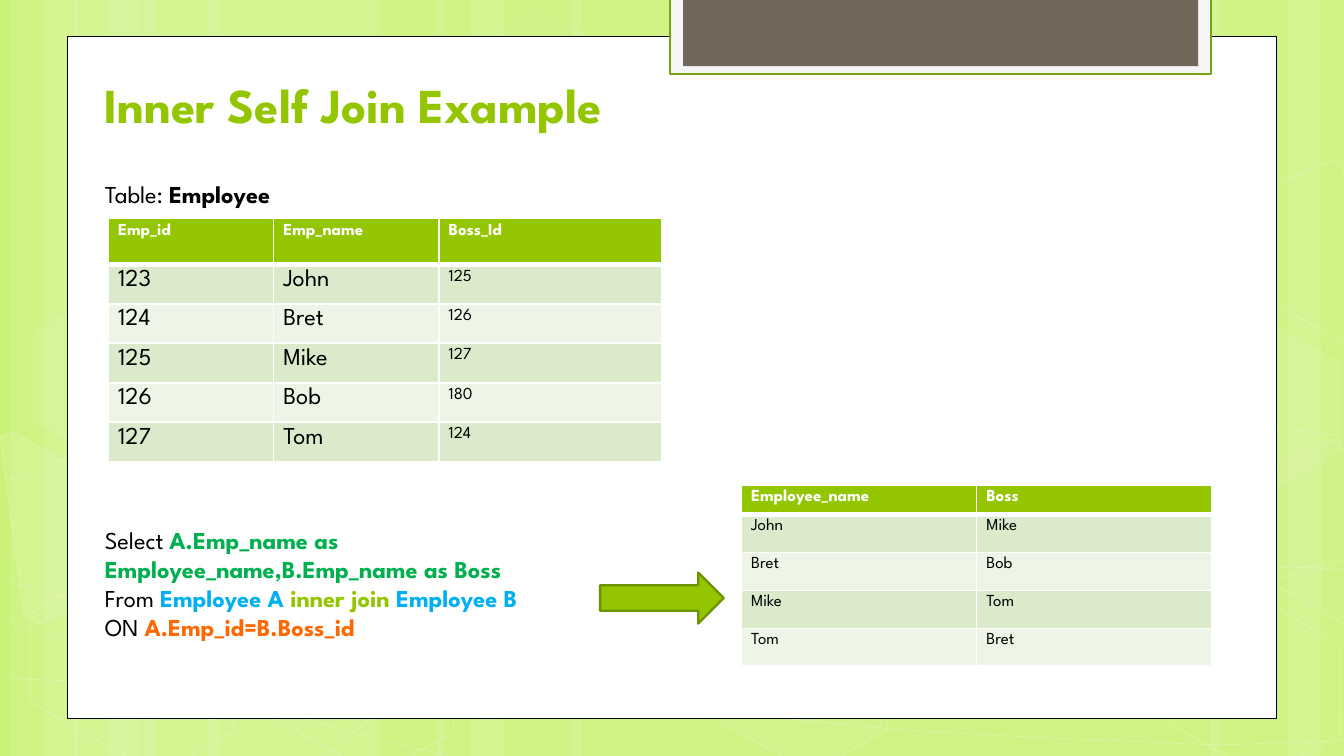
import math

from lxml import etree
from pptx import Presentation
from pptx import util as u
from pptx.dml.color import RGBColor
from pptx.enum import shapes, text
from pptx.oxml.ns import qn

WHITE = RGBColor(0xFF, 0xFF, 0xFF)
BLACK = RGBColor(0, 0, 0)
PALE_LIME = RGBColor(0xCA, 0xF2, 0x78)
LIME = RGBColor(0x94, 0xC6, 0x00)
DARK_LIME = RGBColor(0x6D, 0x92, 0x00)
FRAME_GREEN = RGBColor(0x74, 0xA5, 0x10)
OFF_WHITE = RGBColor(0xF5, 0xF5, 0xF5)
TAUPE = RGBColor(0x71, 0x68, 0x5A)
BANDS = RGBColor(0xDC, 0xEA, 0xCC), RGBColor(0xEE, 0xF5, 0xE7)
GREEN = RGBColor(0x00, 0xB0, 0x50)
BLUE = RGBColor(0x00, 0xB0, 0xF0)
ORANGE = RGBColor(0xFF, 0x67, 0x00)

prs = Presentation()
prs.slide_width, prs.slide_height = u.Inches(10), u.Inches(5.625)
s = prs.slides.add_slide(prs.slide_layouts[5])
s.background.fill.solid()
s.background.fill.fore_color.rgb = PALE_LIME
U = prs.slide_width // 100  # square grid, 100 columns wide
ROWS = prs.slide_height / U
M = shapes.MSO_SHAPE


def draw(kind, cells, fill=None, line=None, width=1, fill_alpha=100, line_alpha=100, closed=True):
    """Add a preset shape in a grid box, or an outline through grid points if kind is None."""
    if kind is None:
        pts = [(round(x * U), round(y * U)) for x, y in cells]
        outline = s.shapes.build_freeform(*pts[0])
        outline.add_line_segments(pts[1:], close=closed)
        sp = outline.convert_to_shape()
    else:
        sp = s.shapes.add_shape(kind, *[round(v * U) for v in cells])
    sp.shadow.inherit = False
    for part, color in ((sp.fill, fill), (sp.line.fill, line)):
        if color is None:
            part.background()
        else:
            part.solid()
            part.fore_color.rgb = color
    if line is not None:
        sp.line.width = u.Pt(width)
    alphas = [a for a, c in ((fill_alpha, fill), (line_alpha, line)) if c is not None]
    for color, alpha in zip(sp.element.spPr.iter(qn("a:srgbClr")), alphas):
        if alpha < 100:
            etree.SubElement(color, qn("a:alpha"), val=str(alpha * 1000))
    return sp


def write(tf, paragraphs, size):
    """Fill a text frame; each paragraph is a list of (text, colour, bold) runs."""
    for i, runs in enumerate(paragraphs):
        p = tf.paragraphs[0] if i == 0 else tf.add_paragraph()
        p.alignment = text.PP_ALIGN.LEFT
        for words, color, bold in runs:
            r = p.add_run()
            r.text = words
            for name, value in {"name": "League Spartan", "size": u.Pt(size), "bold": bold}.items():
                setattr(r.font, name, value)
            r.font.color.rgb = color


# Backdrop: translucent vertical stripes (left, width)
for x, w in ((10.8, 17.5), (0.8, 5), (3.3, 8.3), (15.5, 17.5), (5.5, 5), (8, 8.3),
             (73.3, 17.5), (95.8, 5), (90, 8.3), (42.5, 30.8), (32.5, 5), (35, 8.3)):
    draw(M.RECTANGLE, (x, 0, w, ROWS), WHITE, fill_alpha=10)

# Backdrop: thin curves, each a start point followed by cubic triples
curves = [
    [(.7, 50.5), (6.1, 50.7), (11.5, 50.9), (19, 50.8), (26.5, 50.7), (35.8, 50.6), (45.8, 49.9),
     (55.8, 49.1), (70, 47.7), (79.2, 46.3), (88.3, 44.8), (97.7, 42.6), (100.7, 41.3)],
    [(.7, 35.7), (3.6, 34.6), (6.5, 33.5), (12.1, 32.3), (17.8, 31.2), (25.9, 29.6), (34.7, 29),
     (43.6, 28.5), (54.4, 28.4), (65.4, 29), (76.4, 29.6), (94.7, 31.9), (100.7, 32.5)],
    [(.6, 46.3), (12.7, 50.4), (24.7, 54.5), (33.4, 56.2)],
    [(.7, 43.3), (3.8, 44.2), (7, 45), (12.8, 46.2), (18.6, 47.4), (27.3, 49.2), (35.7, 50.5),
     (44, 51.7), (54.5, 53.1), (62.8, 53.9), (71.1, 54.7), (80, 55), (85.3, 55.2),
     (90.5, 55.5), (91.9, 55.4), (94.5, 55.3), (97.1, 55.3), (98.9, 55.2), (100.7, 55)],
    [(24.2, 56.2), (26, 54.7), (27.8, 53.2), (30.2, 51.8), (32.6, 50.4), (36, 48.9), (38.8, 47.9),
     (41.6, 46.9), (43.3, 46.4), (47, 45.7), (50.6, 44.9), (57.3, 43.8), (60.8, 43.3),
     (64.4, 42.8), (64.9, 42.9), (68, 42.7), (71.1, 42.5), (76, 42.3), (79.4, 42.2),
     (82.9, 42.1), (88.6, 42.2), (88.6, 42.2), (90.8, 42.2), (93.1, 42.2), (95.3, 42.2),
     (97.1, 42.2), (98.8, 42.3), (99.7, 42.4), (100.6, 42.4), (100.3, 42.4), (100.6, 42.5)],
]
for curve in curves:
    sp = draw(None, curve, line=WHITE, width=0.5, line_alpha=20, closed=False)
    # Turn each three straight segments into one cubic segment
    segments = list(sp.element.iter(qn("a:lnTo")))
    for i in range(0, len(segments), 3):
        cubic = etree.Element(qn("a:cubicBezTo"))
        segments[i].addprevious(cubic)
        for segment in segments[i:i + 3]:
            cubic.append(segment[0])
            segment.getparent().remove(segment)

# Backdrop: tilted hexagons (left, top, fill alpha, line alpha)
TILT = 30
for x, y, fa, la in ((33.4, 2.7, 4, 8), (49.7, 44.2, 6, 12), (1.1, 44.3, 0, 12), (1.4, 23.4, 7, 8),
                     (17.4, 44.4, 0, 12), (83.4, 44.5, 0, 12), (83.4, 23.5, 7, 8)):
    sp = draw(M.HEXAGON, (x, y, 17.5, 11.4), WHITE if fa else None, WHITE, 1, fa, la)
    sp.adjustments[0] = 0.285
    sp.rotation = TILT

# Backdrop: hexagons cut by the slide edges, drawn upright about a centre and then tilted
right_cut = [(92.6, 35.6), (99.2, 32.8), (99.9, 33.2), (101.8, 46.8), (101.2, 47.1), (93.5, 42.7)]
left_cut = [(0, 32.5), (1, 32.1), (8.6, 36.5), (9.5, 43.6), (2.9, 46.4), (1.8, 45.7)]
cos, sin = math.cos(math.radians(TILT)), math.sin(math.radians(TILT))
for points, cx, cy, rise, fa in ((left_cut, 3.6, 40.2, 0, 10), (right_cut, 98.5, 39, 0, 4),
                                 (right_cut, 98.5, 39, 20.9, 0)):
    upright = [(cx + (x - cx) * cos + (y - cy) * sin, cy - rise - (x - cx) * sin + (y - cy) * cos)
               for x, y in points]
    draw(None, upright, WHITE if fa else None, WHITE, 1, fa, 12).rotation = TILT

# White panel and the tab at its top
draw(M.RECTANGLE, (5, 2.7, 90, 50.74), WHITE, BLACK, 0.5)
draw(M.RECTANGLE, (49.86, -0.2, 40.24, 5.7), OFF_WHITE, FRAME_GREEN, 1.25)
draw(M.RECTANGLE, (50.83, -0.2, 38.33, 5.13), TAUPE)

# Title, brought in front of the panel
title = s.shapes.title
title.element.getparent().append(title.element)
for name, value in zip(("left", "top", "width", "height"), (7.1, 5.1, 76.8, 5.15)):
    setattr(title, name, round(value * U))
write(title.text_frame, [[("Inner Self Join Example", LIME, True)]], 26.1)

# Tables: left, top, column widths, header height, row height, body sizes, inset, rows
employees = [("Emp_id", "Emp_name", "Boss_Id"), ("123", "John", "125"), ("124", "Bret", "126"),
             ("125", "Mike", "127"), ("126", "Bob", "180"), ("127", "Tom", "124")]
bosses = [("Employee_name", "Boss"), ("John", "Mike"), ("Bret", "Bob"), ("Mike", "Tom"),
          ("Tom", "Bret")]
for x, y, widths, head, row_height, sizes, inset, rows in (
        (8.06, 16.27, (12.3, 12.3, 16.6), 3.4, 2.94, (13, 13, 9), 0.36, employees),
        (55.16, 36.1, (17.5, 17.5), 2.2, 2.82, (9, 9), 0.3, bosses)):
    heights = [head] + [row_height] * (len(rows) - 1)
    box = [round(v * U) for v in (x, y, sum(widths), sum(heights))]
    table = s.shapes.add_table(len(rows), len(widths), *box).table
    for column, w in zip(table.columns, widths):
        column.width = round(w * U)
    for i, (row, h) in enumerate(zip(rows, heights)):
        table.rows[i].height = round(h * U)
        for j, words in enumerate(row):
            cell = table.cell(i, j)
            for name, value in {"margin_left": 0.73, "margin_right": 0.73,
                                "margin_top": inset, "margin_bottom": inset}.items():
                setattr(cell, name, round(value * U))
            cell.fill.solid()
            cell.fill.fore_color.rgb = BANDS[(i - 1) % 2] if i else LIME
            write(cell.text_frame, [[(words, BLACK if i else WHITE, i == 0)]], sizes[j] if i else 9)
            # White borders, heavier under the header
            for k, side in enumerate("LRTB"):
                heavy = (i, side) in ((0, "B"), (1, "T"))
                ln = etree.Element(qn("a:ln" + side), w=str(u.Pt(3 if heavy else 1)))
                solid = etree.SubElement(ln, qn("a:solidFill"))
                etree.SubElement(solid, qn("a:srgbClr"), val=str(WHITE))
                cell._tc.get_or_add_tcPr().insert(k, ln)

# Query, arrow to its result, and table label
query = s.shapes.add_textbox(*[round(v * U) for v in (7.1, 38.7, 41.1, 16.1)])
write(query.text_frame, [
    [("Select ", BLACK, False), ("A.Emp_name as Employee_name,B.Emp_name as Boss", GREEN, True)],
    [("From ", BLACK, False), ("Employee A ", BLUE, True), ("inner join ", LIME, True),
     ("Employee B", BLUE, True)],
    [("ON ", BLACK, False), ("A.Emp_id=B.Boss_id", ORANGE, True)],
], 13)
draw(M.RIGHT_ARROW, (44.65, 42.6, 9.2, 3.8), LIME, DARK_LIME, 1.25)
label = s.shapes.add_textbox(*[round(v * U) for v in (7.1, 13, 17.1, 2.9)])
write(label.text_frame, [[("Table: ", BLACK, False), ("Employee", BLACK, True)]], 13)

# Shared text frame format
frame_format = {"word_wrap": True, "auto_size": text.MSO_AUTO_SIZE.NONE,
                "margin_left": round(0.7 * U), "margin_right": round(0.7 * U),
                "margin_top": round(0.36 * U), "margin_bottom": round(0.36 * U)}
for sp in (title, query, label):
    for name, value in frame_format.items():
        setattr(sp.text_frame, name, value)
title.text_frame.vertical_anchor = text.MSO_ANCHOR.BOTTOM

prs.save("out.pptx")
